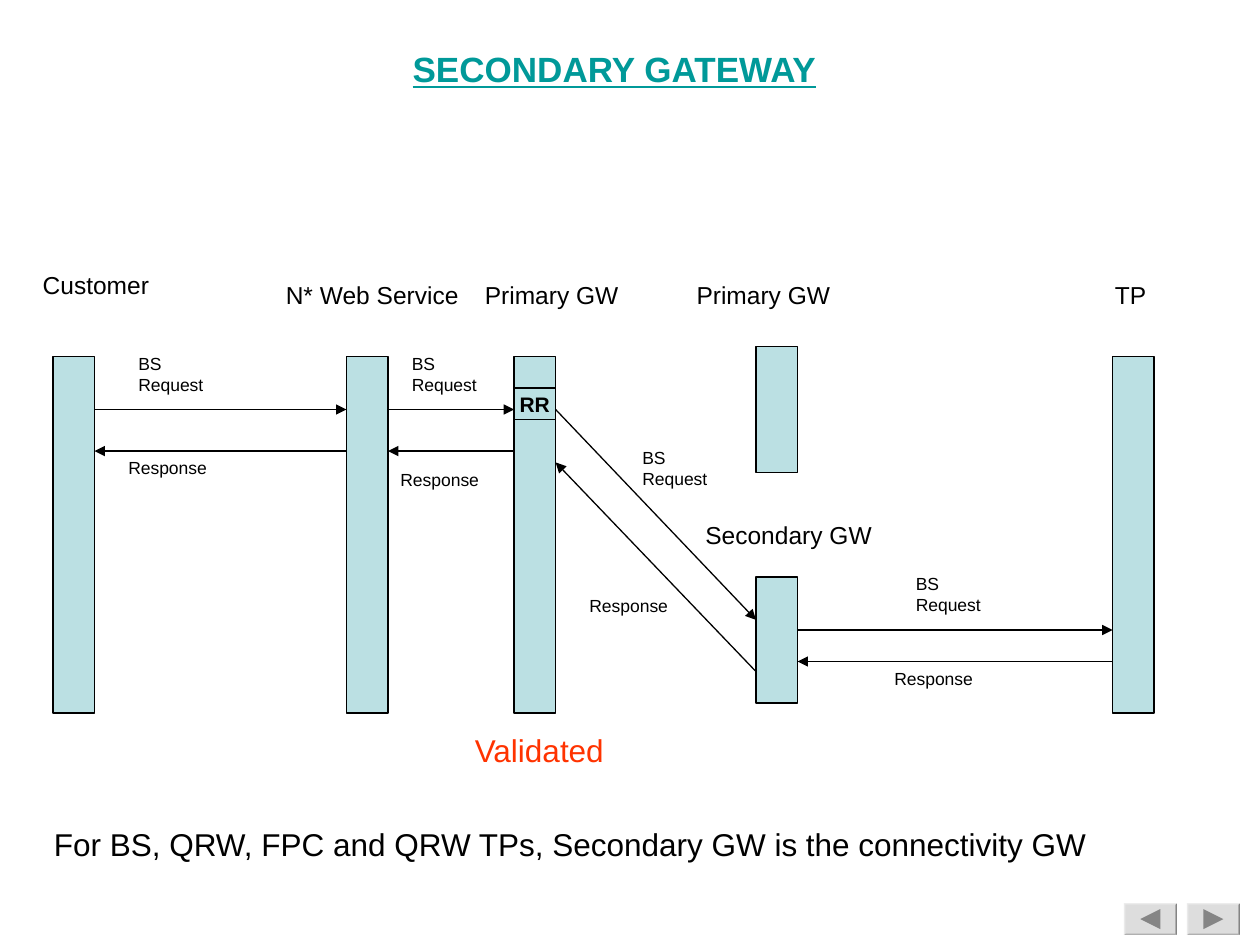
from dataclasses import dataclass

import lxml.etree
import pptx
import pptx.dml.color
import pptx.enum.dml
import pptx.enum.shapes
import pptx.enum.text
import pptx.oxml.ns
import pptx.util

Inches = pptx.util.Inches
RGBColor = pptx.dml.color.RGBColor
ALIGN = pptx.enum.text.PP_ALIGN
SHAPE = pptx.enum.shapes.MSO_SHAPE

BLACK = RGBColor(0x00, 0x00, 0x00)
PALE_TEAL = RGBColor(0xBB, 0xE0, 0xE3)
TEAL = RGBColor(0x00, 0x99, 0x99)
RED = RGBColor(0xFF, 0x33, 0x00)
BUTTON_GREY = RGBColor(0xDD, 0xDD, 0xDD)
ICON_GREY = RGBColor(0x85, 0x85, 0x85)

BAR_WIDTH = 0.33
CUSTOMER, WEB_SERVICE, PRIMARY, SECONDARY, PARTNER = 0.42, 2.75, 4.08, 6, 8.83


@dataclass(frozen=True)
class Label:
    text: str
    left: float
    top: float
    width: float
    height: float
    size: int
    color: RGBColor = BLACK
    heading: bool = False


@dataclass(frozen=True)
class Bar:
    left: float
    top: float = 2.83
    height: float = 2.83


@dataclass(frozen=True)
class Message:
    start: tuple[float, float]
    end: tuple[float, float]


@dataclass(frozen=True)
class Button:
    left: float
    direction: int


def participant(text: str, left: float, top: float = 2.17, width: float = 2.07) -> Label:
    return Label(text, left, top, width, 0.34, 14)


def request(left: float, top: float) -> Label:
    return Label("BS Request", left, top, 0.83, 0.44, 10)


def response(left: float, top: float) -> Label:
    return Label("Response", left, top, 1.67, 0.27, 10)


def right_of(left: float) -> float:
    return left + BAR_WIDTH


BARS = [
    Bar(CUSTOMER),
    Bar(WEB_SERVICE),
    Bar(PRIMARY),
    Bar(PARTNER),
    Bar(SECONDARY, 2.75, 1),
    Bar(SECONDARY, 4.58, 1),
]

MESSAGES = [
    Message((right_of(CUSTOMER), 3.25), (WEB_SERVICE, 3.25)),
    Message((right_of(WEB_SERVICE), 3.25), (PRIMARY, 3.25)),
    Message((right_of(PRIMARY), 3.25), (SECONDARY, 4.92)),
    Message((right_of(SECONDARY), 5), (PARTNER, 5)),
    Message((PARTNER, 5.25), (right_of(SECONDARY), 5.25)),
    Message((SECONDARY, 5.33), (right_of(PRIMARY), 3.67)),
    Message((PRIMARY, 3.58), (right_of(WEB_SERVICE), 3.58)),
    Message((WEB_SERVICE, 3.58), (right_of(CUSTOMER), 3.58)),
]

LABELS = [
    Label("SECONDARY GATEWAY", 1.25, 0.33, 7.25, 0.44, 20, TEAL, True),
    participant("Customer", 0.24, 2.09, 1.42),
    participant("N* Web Service", 2.17),
    participant("Primary GW", 3.75),
    participant("Primary GW", 5.43),
    participant("TP", 8.75, width=0.5),
    participant("Secondary GW", 5.5, 4.08),
    request(1, 2.75),
    request(3.17, 2.75),
    request(5, 3.5),
    request(7.17, 4.5),
    response(0.92, 3.58),
    response(3.08, 3.67),
    response(4.58, 4.67),
    response(7, 5.25),
    Label("Validated", 3.67, 5.75, 1.42, 0.4, 18, RED),
    Label("For BS, QRW, FPC and QRW TPs, Secondary GW is the connectivity GW",
          0.33, 6.5, 8.83, 0.4, 18),
]

BUTTONS = [Button(8.92, -1), Button(9.42, 1)]


def add_span(para, text: str, size: int, color: RGBColor, bold: bool = False):
    span = para.add_run()
    span.text = text
    span.font.name = "Arial"
    span.font.size = pptx.util.Pt(size)
    span.font.bold = bold
    span.font.color.rgb = color
    return span


def draw_label(page, label: Label) -> None:
    box = page.shapes.add_textbox(Inches(label.left), Inches(label.top),
                                  Inches(label.width), Inches(label.height))
    box.text_frame.word_wrap = True
    para = box.text_frame.paragraphs[0]
    para.alignment = ALIGN.CENTER if label.heading else ALIGN.LEFT
    span = add_span(para, label.text, label.size, label.color, label.heading)
    span.font.underline = label.heading


def draw_bar(page, bar: Bar):
    shape = page.shapes.add_shape(SHAPE.RECTANGLE, Inches(bar.left), Inches(bar.top),
                                  Inches(BAR_WIDTH), Inches(bar.height))
    shape.shadow.inherit = False
    shape.fill.solid()
    shape.fill.fore_color.rgb = PALE_TEAL
    shape.line.color.rgb = BLACK
    shape.line.width = pptx.util.Pt(0.75)
    return shape


def draw_rules_check(page) -> None:
    frame = draw_bar(page, Bar(PRIMARY, 3.08, 0.25)).text_frame
    frame.word_wrap = False
    frame.vertical_anchor = pptx.enum.text.MSO_ANCHOR.MIDDLE
    para = frame.paragraphs[0]
    para.alignment = ALIGN.CENTER
    add_span(para, "RR", 12, BLACK, True)


def draw_message(page, message: Message) -> None:
    arrow = page.shapes.add_connector(
        pptx.enum.shapes.MSO_CONNECTOR.STRAIGHT,
        *(Inches(value) for value in message.start + message.end))
    arrow.line.color.rgb = BLACK
    arrow.line.width = pptx.util.Pt(0.75)
    qualified = pptx.oxml.ns.qn
    lxml.etree.SubElement(arrow.line._get_or_add_ln(), qualified("a:tailEnd"), type="triangle")
    lxml.etree.SubElement(arrow._element.spPr, qualified("a:effectLst"))


def fill_plain(shape, color: RGBColor) -> None:
    shape.shadow.inherit = False
    shape.fill.solid()
    shape.fill.fore_color.rgb = color
    shape.line.fill.background()


def draw_button(page, button: Button) -> None:
    top, width, height = 7.17, 0.42, 0.25
    face = page.shapes.add_shape(SHAPE.BEVEL, Inches(button.left), Inches(top),
                                 Inches(width), Inches(height))
    face.adjustments[0] = 0.05
    fill_plain(face, BUTTON_GREY)
    middle_x, middle_y = button.left + width / 2, top + height / 2
    reach = 0.08 * button.direction
    back = Inches(middle_x - reach)
    builder = page.shapes.build_freeform(back, Inches(middle_y - 0.08))
    builder.add_line_segments([(Inches(middle_x + reach), Inches(middle_y)),
                               (back, Inches(middle_y + 0.08))])
    fill_plain(builder.convert_to_shape(), ICON_GREY)


def main() -> None:
    deck = pptx.Presentation()
    deck.slide_width, deck.slide_height = Inches(10), Inches(7.5)
    page = deck.slides.add_slide(deck.slide_layouts[6])
    for bar in BARS:
        draw_bar(page, bar)
    draw_rules_check(page)
    for message in MESSAGES:
        draw_message(page, message)
    for label in LABELS:
        draw_label(page, label)
    for button in BUTTONS:
        draw_button(page, button)
    deck.save("out.pptx")


if __name__ == "__main__":
    main()
